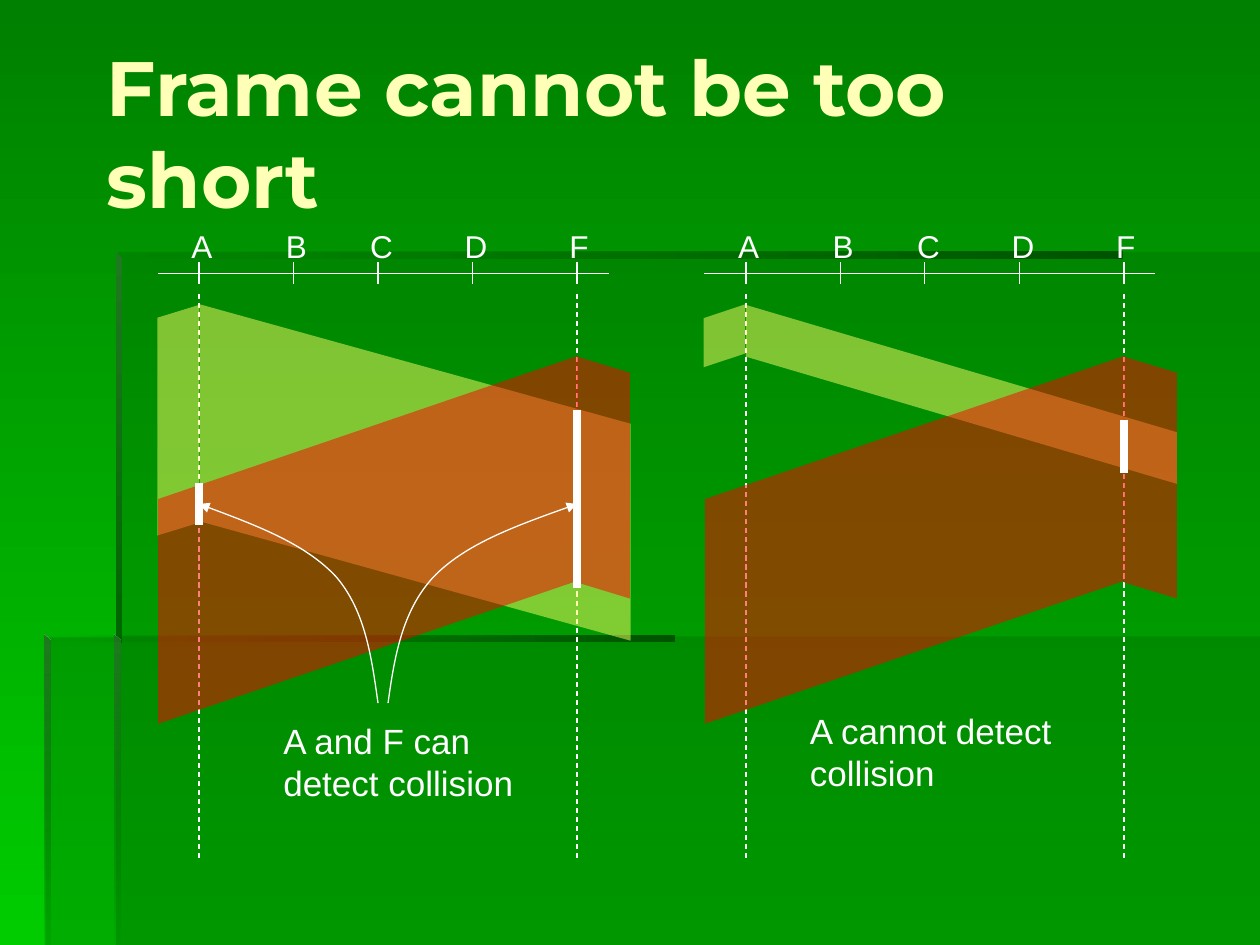
from lxml.etree import SubElement
from pptx import Presentation
from pptx.dml.color import RGBColor
from pptx.enum.dml import MSO_LINE
from pptx.enum.shapes import MSO_CONNECTOR, MSO_SHAPE
from pptx.enum.text import MSO_ANCHOR, MSO_AUTO_SIZE
from pptx.oxml.ns import qn
from pptx.util import Inches, Pt

COLORS = {
    "background_top": "008000",
    "background_bottom": "00CC00",
    "panel": "006600",
    "shade": "005400",
    "highlight": "1F791F",
    "title": "FFFFB7",
    "white": "FFFFFF",
    "signal_a": "FFFF66",
    "signal_f": "FF0000",
}
STATIONS = [("A", 0), ("B", 0.75), ("C", 1.42), ("D", 2.17), ("F", 3)]
LEFT_A, RIGHT_A = 1.58, 5.92
DOWN, ACROSS = 270, 0


def rgb(name):
    return RGBColor.from_string(COLORS[name])


def set_opacity(shape, percents):
    """Give the fill colours of a shape their opacity, in order."""
    for color, percent in zip(shape.element.spPr.iter(qn("a:srgbClr")), percents):
        SubElement(color, qn("a:alpha"), val=str(percent * 1000))


def set_gradient(fill, names, angle):
    fill.gradient()
    fill.gradient_angle = angle
    for stop, name in zip(fill.gradient_stops, names):
        stop.color.rgb = rgb(name)


def add_outline(shapes, points, close=True):
    start, *others = [(Inches(x), Inches(y)) for x, y in points]
    builder = shapes.build_freeform(*start, scale=1.0)
    builder.add_line_segments(others, close=close)
    shape = builder.convert_to_shape()
    shape.shadow.inherit = False
    shape.line.fill.background()
    return shape


def add_panel(shapes, points):
    shape = add_outline(shapes, points)
    shape.fill.solid()
    shape.fill.fore_color.rgb = rgb("panel")
    set_opacity(shape, [30])


def add_edge(shapes, points, names, angle, opacity):
    shape = add_outline(shapes, points)
    set_gradient(shape.fill, names, angle)
    set_opacity(shape, opacity)


def add_backdrop(slide):
    set_gradient(slide.background.fill, ["background_top", "background_bottom"], DOWN)
    shapes = slide.shapes.add_group_shape().shapes
    add_panel(shapes, [(0.92, 5.05), (0.92, 7.5), (10, 7.5), (10, 5.05)])
    add_panel(shapes, [(0.94, 5.06), (0.36, 5.06), (0.36, 7.5),
                       (10, 7.5), (10, 2), (0.94, 2)])

    def add_top_edge(left, top, right):
        bottom = top + 0.05
        points = [(left, top), (left, bottom), (right, bottom), (right, top)]
        add_edge(shapes, points, ["panel", "shade"], ACROSS, [0, 100])

    def add_side_edge(left, top, bottom, opacity):
        right = left + 0.05
        points = [(left, top), (left, bottom), (right, bottom), (right, top + 0.05)]
        add_edge(shapes, points, ["highlight", "panel"], DOWN, [100, opacity])

    add_top_edge(0.92, 2, 8.91)
    add_side_edge(0.92, 2, 5.1, 100)
    add_side_edge(0.91, 5.04, 7.5, 0)
    add_top_edge(0.35, 5.04, 5.35)
    add_side_edge(0.35, 5.04, 7.5, 10)


def add_text(shapes, text, box, size, font="Arial", color="white", wrap=True):
    shape = shapes.add_textbox(*map(Inches, box))
    frame = shape.text_frame
    frame.word_wrap = wrap
    frame.text = text
    paragraph = frame.paragraphs[0]
    paragraph.font.size = Pt(size)
    paragraph.font.name = font
    paragraph.font.color.rgb = rgb(color)
    return shape


def add_title(slide, text):
    shape = add_text(slide.shapes, text, (0.75, 0.67, 8.5, 0.75), 44,
                     "Montserrat", "title")
    shape.text_frame.vertical_anchor = MSO_ANCHOR.MIDDLE
    shape.text_frame.paragraphs[0].font.bold = True


def add_caption(slide, text, left, top):
    shape = add_text(slide.shapes, text, (left, top, 2.18, 0.77), 20)
    shape.text_frame.auto_size = MSO_AUTO_SIZE.SHAPE_TO_FIT_TEXT


def add_line(shapes, start, end, width=0.75, dash=None):
    line = shapes.add_connector(MSO_CONNECTOR.STRAIGHT,
                                *map(Inches, (*start, *end)))
    line.line.color.rgb = rgb("white")
    line.line.width = Pt(width)
    if dash:
        line.line.dash_style = dash
    SubElement(line.element.spPr, qn("a:effectLst"))


def add_collision_bar(slide, x, top, bottom):
    add_line(slide.shapes, (x, top), (x, bottom), width=4.5)


def add_cable(slide, a):
    """Draw the cable with its stations and the time lines of A and F."""
    shapes = slide.shapes.add_group_shape().shapes
    add_line(shapes, (a - 0.33, 2.17), (a + 3.25, 2.17))
    for name, offset in STATIONS:
        x = a + offset
        add_line(shapes, (x, 2.08), (x, 2.25))
        add_text(shapes, name, (x - 0.16, 1.75, 0.36, 0.4), 18, wrap=False)
    for x in (a, a + 3):
        add_line(shapes, (x, 2.33), (x, 6.83), dash=MSO_LINE.DASH)


def add_beam(shapes, box, rotation, slant, color, flips=()):
    """Draw one side of a signal; the box is the frame before rotation."""
    shape = shapes.add_shape(MSO_SHAPE.PARALLELOGRAM, *map(Inches, box))
    shape.adjustments[0] = slant
    shape.rotation = rotation
    for flip in flips:
        shape.element.spPr.xfrm.set(flip, "1")
    shape.shadow.inherit = False
    shape.fill.solid()
    shape.fill.fore_color.rgb = rgb(color)
    set_opacity(shape, [50])
    shape.line.fill.background()


def add_signals(slide, a, left_beam, right_beam):
    """Draw A's signal from (box, slant) pairs, then F's, which is always long."""
    shapes = slide.shapes.add_group_shape().shapes
    add_beam(shapes, left_beam[0], 90, left_beam[1], "signal_a", ["flipH"])
    add_beam(shapes, right_beam[0], 270, right_beam[1], "signal_a")
    add_beam(shapes, (a - 0.12, 2.62, 2.92, 3.33), 90, 0.389, "signal_f", ["flipH"])
    add_beam(shapes, (a + 2.25, 3.58, 1.92, 0.42), 270, 0.304, "signal_f",
             ["flipH", "flipV"])


def add_curved_arrow(slide, points):
    """Draw a start point and then Bézier triples, with a head at the end."""
    shape = add_outline(slide.shapes, points, close=False)
    segments = list(shape.element.spPr.iter(qn("a:lnTo")))
    for index in range(0, len(segments), 3):
        first, *others = segments[index:index + 3]
        curve = SubElement(first.getparent(), qn("a:cubicBezTo"))
        for segment in (first, *others):
            curve.append(segment[0])
            segment.getparent().remove(segment)
    shape.fill.background()
    shape.line.color.rgb = rgb("white")
    shape.line.width = Pt(0.75)
    SubElement(shape.line._get_or_add_ln(), qn("a:tailEnd"), type="triangle")


def main():
    presentation = Presentation()
    presentation.slide_width, presentation.slide_height = Inches(10), Inches(7.5)
    slide = presentation.slides.add_slide(presentation.slide_layouts[6])
    add_backdrop(slide)
    add_title(slide, "Frame cannot be too short")

    add_cable(slide, RIGHT_A)
    add_signals(slide, RIGHT_A, ((5.5, 2.5, 0.5, 0.33), 0.334),
                ((6.92, 1.42, 1.42, 3.42), 0.711))
    add_collision_bar(slide, RIGHT_A + 3, 3.33, 3.75)

    add_cable(slide, LEFT_A)
    add_signals(slide, LEFT_A, ((0.5, 3.17, 1.83, 0.33), 0.307),
                ((1.96, 2.04, 2.67, 3.42), 0.355))
    add_collision_bar(slide, LEFT_A, 3.83, 4.17)
    add_collision_bar(slide, LEFT_A + 3, 3.25, 4.67)

    add_caption(slide, "A and F can detect collision", 2.15, 5.66)
    add_curved_arrow(slide, [(3, 5.58), (2.95, 5.22), (2.9, 4.85), (2.67, 4.58),
                             (2.43, 4.32), (2.01, 4.16), (1.58, 4)])
    add_curved_arrow(slide, [(3.08, 5.58), (3.13, 5.22), (3.19, 4.85), (3.44, 4.58),
                             (3.69, 4.32), (4.13, 4.16), (4.58, 4)])
    add_caption(slide, "A cannot detect collision", 6.33, 5.58)
    presentation.save("out.pptx")


if __name__ == "__main__":
    main()
